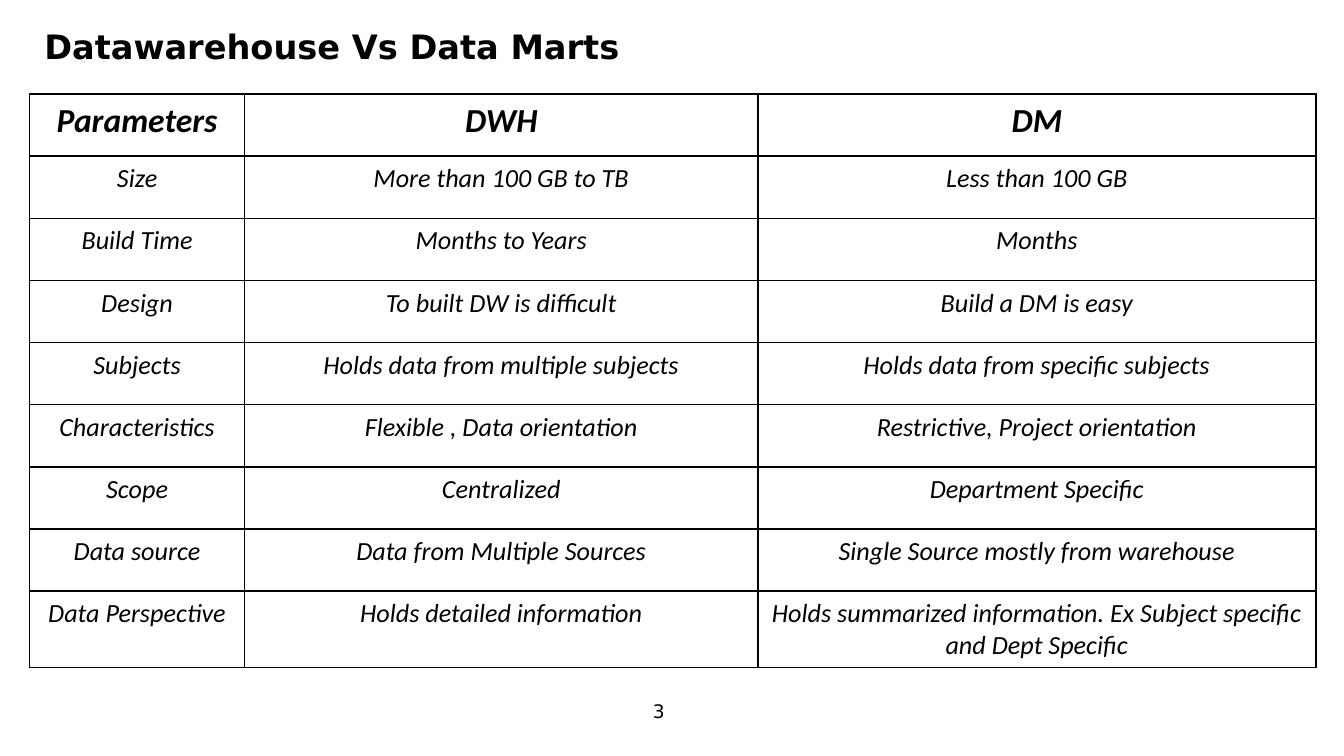
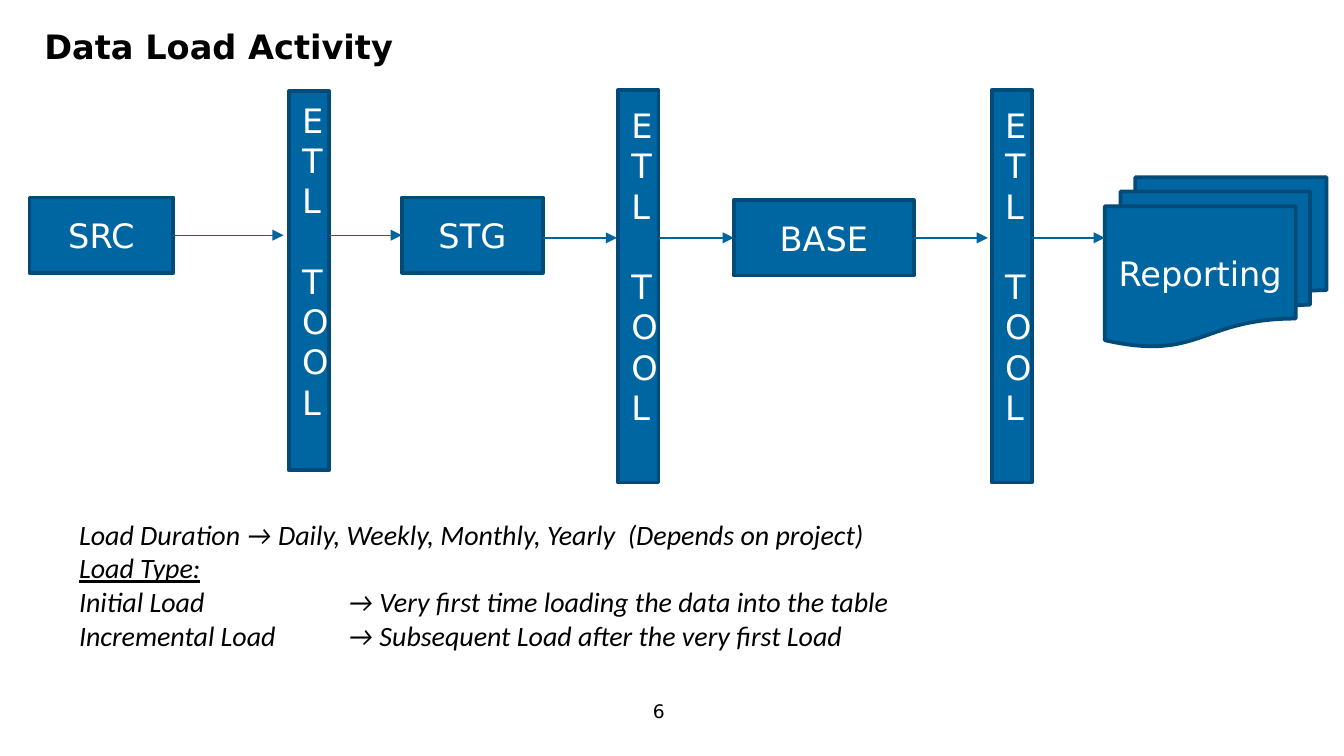
from itertools import pairwise

from lxml import etree
from pptx import Presentation
from pptx import util as u
from pptx.dml.color import RGBColor
from pptx.enum import shapes, text
from pptx.oxml import ns

PAGE_WIDTH = 10
PAGE_HEIGHT = PAGE_WIDTH * 9 / 16

BLACK = RGBColor(0x00, 0x00, 0x00)
WHITE = RGBColor(0xFF, 0xFF, 0xFF)
BLUE = RGBColor(0x00, 0x66, 0xA1)
DARK_BLUE = RGBColor(0x00, 0x4B, 0x77)
ARROW_BLUE = RGBColor(0x00, 0x64, 0x9D)
HEADING_FONT, BODY_FONT = "DejaVu Sans", "Calibri"

COMPARISON = [
    ("Parameters", "DWH", "DM"),
    ("Size", "More than 100 GB to TB", "Less than 100 GB"),
    ("Build Time", "Months to Years", "Months"),
    ("Design", "To built DW is difficult", "Build a DM is easy"),
    ("Subjects", "Holds data from multiple subjects", "Holds data from specific subjects"),
    ("Characteristics", "Flexible , Data orientation", "Restrictive, Project orientation"),
    ("Scope", "Centralized", "Department Specific"),
    ("Data source", "Data from Multiple Sources", "Single Source mostly from warehouse"),
    ("Data Perspective", "Holds detailed information",
     "Holds summarized information. Ex Subject specific and Dept Specific"),
]
COLUMN_WIDTHS = (1.6, 3.82, 4.15)
TABLE_HEIGHT, LAST_ROW_HEIGHT = 4.27, 0.57

ETL_WORDS = ("ETL", "TOOL")
# Load steps from left to right: words, (left, top, width, height)
STEPS = [
    (("SRC",), (0.22, 1.47, 1.07, 0.56)),
    (ETL_WORDS, (2.15, 0.68, 0.3, 2.82)),
    (("STG",), (2.99, 1.47, 1.05, 0.56)),
    (ETL_WORDS, (4.6, 0.67, 0.3, 2.92)),
    (("BASE",), (5.46, 1.49, 1.34, 0.56)),
    (ETL_WORDS, (7.38, 0.67, 0.3, 2.92)),
    (("Reporting",), (8.22, 1.32, 1.65, 1.26)),
]
# Height of each arrow and how far it stops before the next step
ARROWS = [(1.75, 0.04), (1.75, 0), (1.77, 0.01), (1.77, 0), (1.77, 0.03), (1.77, 0)]

LOAD_NOTES = [
    ("Load Duration → Daily, Weekly, Monthly, Yearly  (Depends on project)", False),
    ("Load Type:", True),
    ("Initial Load \t\t→ Very first time loading the data into the table", False),
    ("Incremental Load\t→ Subsequent Load after the very first Load", False),
]
TAB_STOPS = (1, 2)


def inches(values):
    return [u.Inches(value) for value in values]


def add_span(para, words, size, font=HEADING_FONT, color=BLACK, **style):
    span = para.add_run()
    span.text = words
    span.font.size = u.Pt(size)
    span.font.name = font
    span.font.color.rgb = color
    for name, value in style.items():
        setattr(span.font, name, value)


def add_page(deck, title, number):
    page = deck.slides.add_slide(deck.slide_layouts[5])
    box = page.shapes.title
    box.left, box.top, box.width, box.height = inches((0.23, 0.14, 9.57, 0.42))
    box.text_frame.vertical_anchor = text.MSO_ANCHOR.TOP
    box.text_frame.auto_size = text.MSO_AUTO_SIZE.NONE
    para = box.text_frame.paragraphs[0]
    para.alignment = text.PP_ALIGN.LEFT
    add_span(para, title, 18, bold=True)

    footer = page.shapes.add_textbox(*inches((4.76, 5.17, 0.48, 0.24))).text_frame
    footer.word_wrap = True
    footer.vertical_anchor = text.MSO_ANCHOR.MIDDLE
    add_span(footer.paragraphs[0], str(number), 10)
    return page


def add_borders(cell):
    """Draw a thin black line on all four sides, ahead of the cell's fill."""
    properties = cell._tc.get_or_add_tcPr()
    for place, side in enumerate(("lnL", "lnR", "lnT", "lnB")):
        line = etree.Element(ns.qn(f"a:{side}"), w=str(u.Pt(1)))
        fill = etree.SubElement(line, ns.qn("a:solidFill"))
        etree.SubElement(fill, ns.qn("a:srgbClr"), val=str(BLACK))
        properties.insert(place, line)


def add_comparison(page):
    upper_rows = len(COMPARISON) - 1
    heights = [(TABLE_HEIGHT - LAST_ROW_HEIGHT) / upper_rows] * upper_rows + [LAST_ROW_HEIGHT]
    area = inches((0.22, 0.7, sum(COLUMN_WIDTHS), TABLE_HEIGHT))
    table = page.shapes.add_table(len(COMPARISON), len(COLUMN_WIDTHS), *area).table
    table.first_row = table.horz_banding = False
    for column, width in zip(table.columns, COLUMN_WIDTHS):
        column.width = u.Inches(width)
    for index, (row, height, entries) in enumerate(zip(table.rows, heights, COMPARISON)):
        row.height = u.Inches(height)
        heading = index == 0
        for cell, words in zip(row.cells, entries):
            cell.fill.background()
            add_borders(cell)
            para = cell.text_frame.paragraphs[0]
            para.alignment = text.PP_ALIGN.CENTER
            add_span(para, words, 18 if heading else 14, BODY_FONT,
                     bold=heading, italic=True)


def add_step(page, words, area):
    """Add a load step; two words are stacked letter by letter."""
    kind = shapes.MSO_SHAPE.RECTANGLE
    if words == ("Reporting",):
        kind = shapes.MSO_SHAPE.FLOWCHART_MULTIDOCUMENT
    box = page.shapes.add_shape(kind, *inches(area))
    box.shadow.inherit = False
    box.fill.solid()
    box.fill.fore_color.rgb = BLUE
    box.line.color.rgb = DARK_BLUE
    box.line.width = u.Pt(2)
    frame = box.text_frame
    frame.vertical_anchor = text.MSO_ANCHOR.MIDDLE
    stacked = len(words) > 1
    lines = "".join(words) if stacked else words
    for index, line in enumerate(lines):
        para = frame.add_paragraph() if index else frame.paragraphs[0]
        para.alignment = text.PP_ALIGN.CENTER
        if stacked and index == len(words[0]):
            para.space_before = u.Pt(21.5)
        add_span(para, line, 18, color=WHITE)
    if stacked:
        frame.margin_bottom = u.Inches(0.35)
    return box


def add_arrow(page, start, end, height, stop):
    left = u.Emu(start.left + start.width)
    right = u.Emu(end.left - u.Inches(stop))
    level = u.Inches(height)
    arrow = page.shapes.add_connector(shapes.MSO_CONNECTOR.STRAIGHT, left, level, right, level)

    def meets_middle(box):
        return abs(box.top + box.height / 2 - level) < u.Inches(0.01)

    if meets_middle(start):
        arrow.begin_connect(start, 3)
    if meets_middle(end) and not stop:
        arrow.end_connect(end, 1)
    arrow.line.color.rgb = ARROW_BLUE
    arrow.line.width = u.Pt(0.75)
    etree.SubElement(arrow.line._get_or_add_ln(), ns.qn("a:tailEnd"), type="triangle")
    etree.SubElement(arrow._element.spPr, ns.qn("a:effectLst"))


def add_load_notes(page):
    frame = page.shapes.add_textbox(*inches((0.49, 3.8, 7.73, 1.11))).text_frame
    frame.word_wrap = True
    frame.auto_size = text.MSO_AUTO_SIZE.SHAPE_TO_FIT_TEXT
    for index, (words, underlined) in enumerate(LOAD_NOTES):
        para = frame.add_paragraph() if index else frame.paragraphs[0]
        stops = etree.SubElement(para._p.get_or_add_pPr(), ns.qn("a:tabLst"))
        for stop in TAB_STOPS:
            etree.SubElement(stops, ns.qn("a:tab"), pos=str(u.Inches(stop)), algn="l")
        add_span(para, words, 15, BODY_FONT, italic=True, underline=underlined)


def main():
    deck = Presentation()
    deck.slide_width, deck.slide_height = inches((PAGE_WIDTH, PAGE_HEIGHT))

    add_comparison(add_page(deck, "Datawarehouse Vs Data Marts", 3))

    page = add_page(deck, "Data Load Activity", 6)
    boxes = [add_step(page, words, area) for words, area in STEPS]
    for (start, end), (height, stop) in zip(pairwise(boxes), ARROWS):
        add_arrow(page, start, end, height, stop)
    add_load_notes(page)

    deck.save("out.pptx")


if __name__ == "__main__":
    main()
